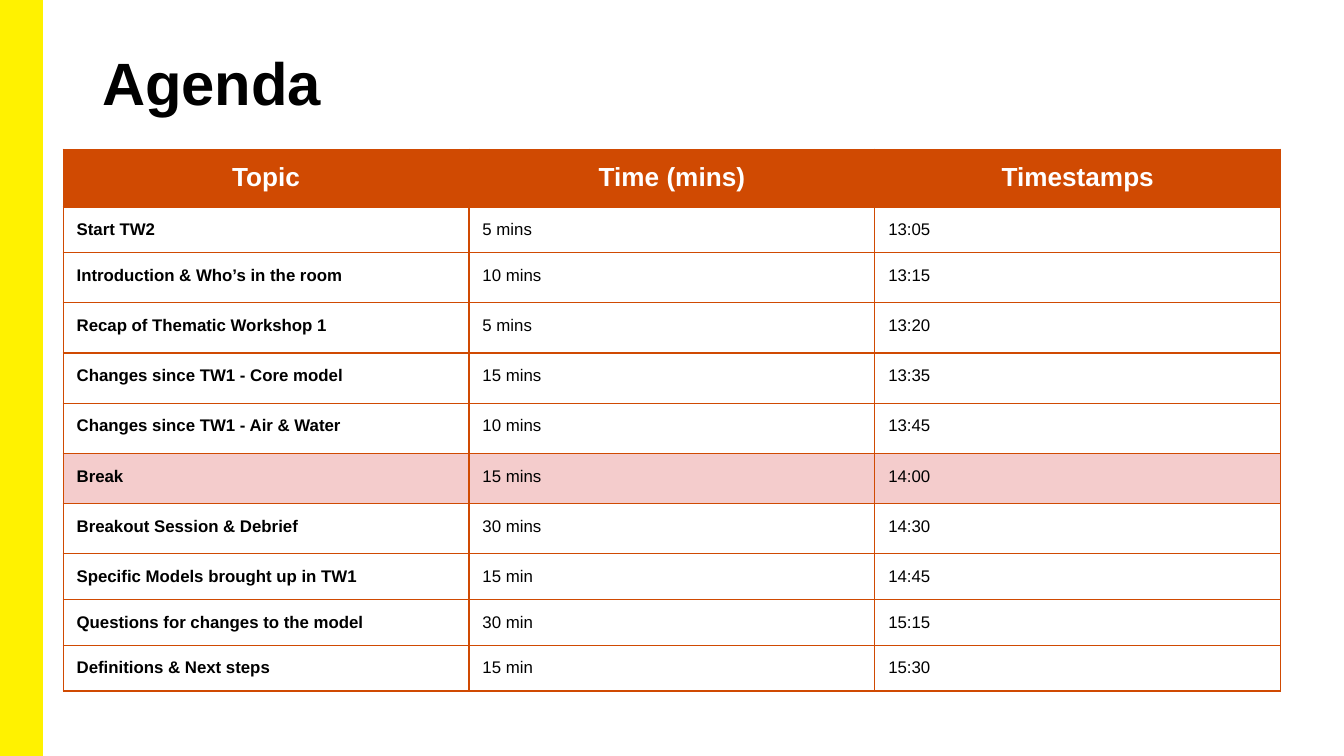
from lxml.etree import SubElement
from pptx import Presentation
from pptx.dml.color import RGBColor
from pptx.enum.shapes import MSO_SHAPE
from pptx.enum.text import MSO_ANCHOR, MSO_AUTO_SIZE, PP_ALIGN
from pptx.oxml.ns import qn
from pptx.util import Inches, Pt

YELLOW = RGBColor(0xFF, 0xF2, 0x00)
ORANGE = RGBColor(0xD0, 0x4A, 0x02)
PINK = RGBColor(0xF4, 0xCC, 0xCC)
WHITE = RGBColor(0xFF, 0xFF, 0xFF)
BLACK = RGBColor(0x00, 0x00, 0x00)

WIDE = 10
HIGH = WIDE * 9 / 16
SHORT = 0.34
TALL = 2.24 / 6

HEADS = ("Topic", "Time (mins)", "Timestamps")
ITEMS = (
    ("Start TW2", "5 mins", "13:05", SHORT),
    ("Introduction & Who’s in the room", "10 mins", "13:15", TALL),
    ("Recap of Thematic Workshop 1", "5 mins", "13:20", TALL),
    ("Changes since TW1 - Core model", "15 mins", "13:35", TALL),
    ("Changes since TW1 - Air & Water", "10 mins", "13:45", TALL),
    ("Break", "15 mins", "14:00", TALL),
    ("Breakout Session & Debrief", "30 mins", "14:30", TALL),
    ("Specific Models brought up in TW1", "15 min", "14:45", SHORT),
    ("Questions for changes to the model", "30 min", "15:15", SHORT),
    ("Definitions & Next steps", "15 min", "15:30", SHORT),
)


def set_all(target, values):
    """Set every attribute named in a dict of format values."""
    for name, value in values.items():
        setattr(target, name, value)


def set_font(font, size, color, bold):
    """Format a font in the slide's typeface."""
    set_all(font, {"name": "Arial", "size": Pt(size), "bold": bold})
    font.color.rgb = color


def add_edges(cell):
    """Draw a thin orange line on the four sides of a cell."""
    props = cell._tc.get_or_add_tcPr()
    for spot, side in enumerate(("a:lnL", "a:lnR", "a:lnT", "a:lnB")):
        line = SubElement(props, qn(side), w=str(Pt(0.75)))
        fill = SubElement(line, qn("a:solidFill"))
        SubElement(fill, qn("a:srgbClr"), val=str(ORANGE))
        props.insert(spot, line)


def fill_cell(cell, text, size, color, bold, align, back):
    """Write, format and border one table cell."""
    cell.text = text
    sides = ("left", "right", "top", "bottom")
    set_all(cell, {f"margin_{side}": Inches(0.1) for side in sides})
    cell.vertical_anchor = MSO_ANCHOR.TOP
    para = cell.text_frame.paragraphs[0]
    para.alignment = align
    set_font(para.runs[0].font, size, color, bold)
    if back is None:
        cell.fill.background()
    else:
        cell.fill.solid()
        cell.fill.fore_color.rgb = back
    add_edges(cell)


def add_band(slide, left, top, width, height):
    """Draw the yellow band in the given box."""
    box = [Inches(v) for v in (left, top, width, height)]
    band = slide.shapes.add_shape(MSO_SHAPE.RECTANGLE, *box)
    band.shadow.inherit = False
    band.fill.solid()
    band.fill.fore_color.rgb = YELLOW
    band.line.color.rgb = YELLOW
    band.line.width = Pt(1)


def add_title(slide, text, left, top, width, height):
    """Place and format the title placeholder in the given box."""
    title = slide.shapes.title
    set_all(title, {"left": Inches(left), "top": Inches(top),
                    "width": Inches(width), "height": Inches(height)})
    frame = title.text_frame
    frame.text = text
    set_all(frame, {"margin_left": Inches(0.07), "margin_right": Inches(0.07),
                    "margin_top": Inches(0.04), "margin_bottom": Inches(0.04),
                    "vertical_anchor": MSO_ANCHOR.TOP, "word_wrap": True,
                    "auto_size": MSO_AUTO_SIZE.NONE})
    para = frame.paragraphs[0]
    para.alignment = PP_ALIGN.LEFT
    set_font(para.runs[0].font, 32, BLACK, True)


def add_agenda(slide, left, top, width, height):
    """Build the agenda table in the given box."""
    box = [Inches(v) for v in (left, top, width, height)]
    table = slide.shapes.add_table(len(ITEMS) + 1, len(HEADS), *box).table
    table.horz_banding = False
    for col in table.columns:
        col.width = Inches(width / len(HEADS))
    table.rows[0].height = Inches(0.43)
    for cell, head in zip(table.rows[0].cells, HEADS):
        fill_cell(cell, head, 14, WHITE, True, PP_ALIGN.CENTER, ORANGE)
    for row, (*texts, tall) in enumerate(ITEMS, 1):
        table.rows[row].height = Inches(tall)
        back = PINK if texts[0] == "Break" else None
        for col, text in enumerate(texts):
            fill_cell(table.cell(row, col), text, 9, BLACK, col == 0,
                      PP_ALIGN.LEFT, back)


def main():
    """Build and save the agenda slide."""
    deck = Presentation()
    set_all(deck, {"slide_width": Inches(WIDE), "slide_height": Inches(HIGH)})
    slide = deck.slides.add_slide(deck.slide_layouts[5])
    add_band(slide, 0, 0, 0.31, HIGH)
    add_title(slide, "Agenda", 0.69, 0.3, 8.62, 0.81)
    add_agenda(slide, 0.47, 1.11, 9.06, 4.03)
    deck.save("out.pptx")


if __name__ == "__main__":
    main()
